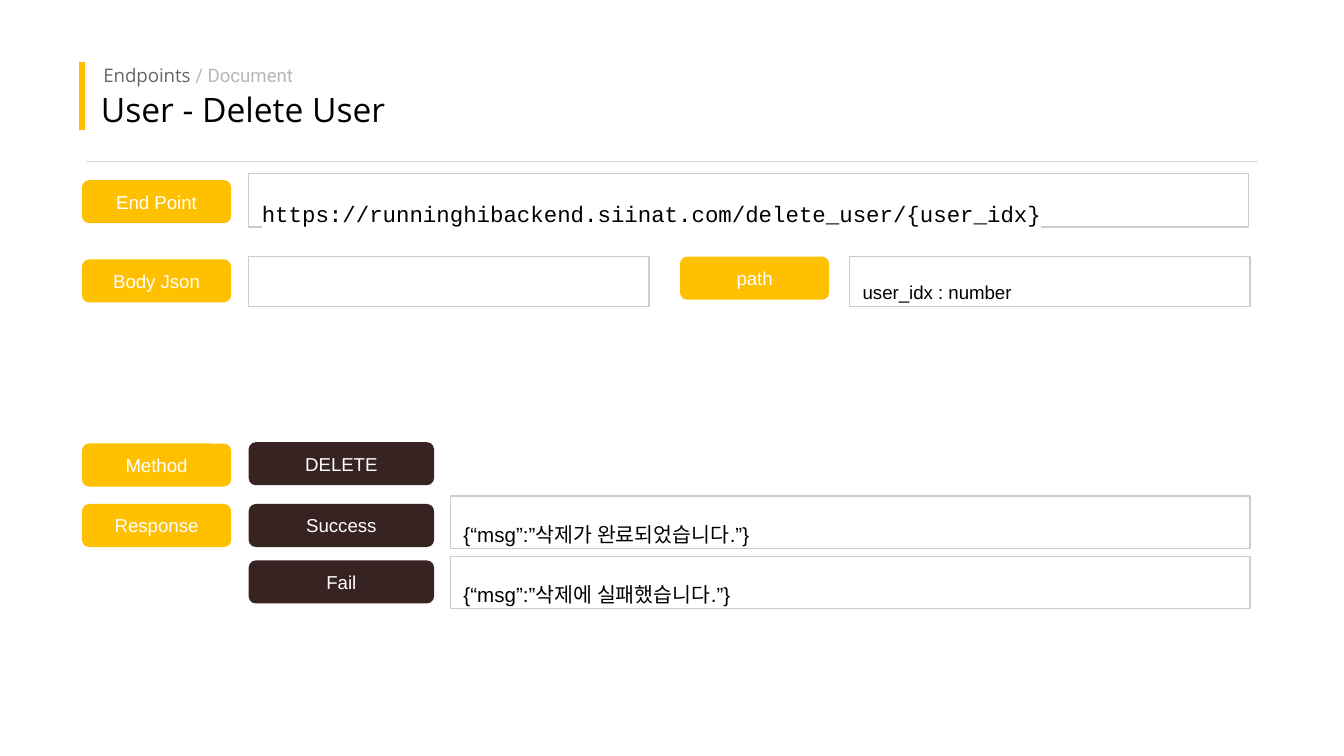
import pptx
import pptx.dml.color
import pptx.enum.shapes
import pptx.enum.text
import pptx.oxml
import pptx.oxml.ns
import pptx.util
from pptx.util import Inches

RGB = pptx.dml.color.RGBColor
AMBER = RGB(0xFF, 0xC0, 0x00)
BROWN = RGB(0x37, 0x23, 0x21)
WHITE = RGB(0xFF, 0xFF, 0xFF)
BLACK = RGB(0x00, 0x00, 0x00)
DARK_GRAY = RGB(0x66, 0x66, 0x66)
MID_GRAY = RGB(0xB7, 0xB7, 0xB7)
BOX_GRAY = RGB(0xCC, 0xCC, 0xCC)
RULE_GRAY = RGB(0xD9, 0xD9, 0xD9)

ALIGN = pptx.enum.text.PP_ALIGN
ANCHOR = pptx.enum.text.MSO_ANCHOR
AUTO_SIZE = pptx.enum.text.MSO_AUTO_SIZE
SHAPE = pptx.enum.shapes.MSO_SHAPE

SLIDE_W = 10
SLIDE_H = SLIDE_W * 9 / 16
LABEL_X, VALUE_X, REPLY_X = 0.61, 1.85, 3.35
PATH_LABEL_X, PATH_VALUE_X = 5.06, 6.32
LABEL_W, TAG_W, PILL_H = 1.11, 1.38, 0.32


def place(shape, left, top, width, height):
    box = {"left": left, "top": top, "width": width, "height": height}
    for name, value in box.items():
        setattr(shape, name, Inches(value))


def format_frame(frame, anchor, auto_size=AUTO_SIZE.NONE):
    margins = {f"margin_{side}": Inches(0.1)
               for side in ("left", "top", "right", "bottom")}
    settings = {"word_wrap": True, "vertical_anchor": anchor,
                "auto_size": auto_size, **margins}
    for name, value in settings.items():
        setattr(frame, name, value)


def add_run(paragraph, text, size, color, font="Arial", highlight=None):
    run = paragraph.add_run()
    run.text = text
    run.font.size = pptx.util.Pt(size)
    run.font.color.rgb = color
    if highlight is not None:
        ns = pptx.oxml.ns.nsdecls("a")
        run.font._element.append(pptx.oxml.parse_xml(
            f'<a:highlight {ns}><a:srgbClr val="{highlight}"/></a:highlight>'))
    run.font.name = font


def add_rule(slide, start, end, color, weight):
    rule = slide.shapes.add_connector(
        pptx.enum.shapes.MSO_CONNECTOR.STRAIGHT,
        *(Inches(length) for length in (*start, *end)))
    rule.line.color.rgb = color
    rule.line.width = pptx.util.Pt(weight)
    rule._element.spPr.append(
        pptx.oxml.parse_xml(f'<a:effectLst {pptx.oxml.ns.nsdecls("a")}/>'))


def add_header(slide, left, top, width):
    """Accent bar, breadcrumb, title and the rule below them."""
    add_rule(slide, (left, top), (left, top + 0.51), AMBER, 3)

    title = slide.shapes.title
    place(title, left + 0.04, top + 0.1, 9.1, 0.5)
    format_frame(title.text_frame, ANCHOR.MIDDLE)
    heading = title.text_frame.paragraphs[0]
    heading.alignment = ALIGN.LEFT
    add_run(heading, "User - Delete User", 18, BLACK, "Open Sans")

    breadcrumb = slide.shapes.add_textbox(0, 0, 0, 0)
    place(breadcrumb, left + 0.06, top - 0.03, 4.49, 0.23)
    format_frame(breadcrumb.text_frame, ANCHOR.MIDDLE)
    trail = breadcrumb.text_frame.paragraphs[0]
    trail.line_spacing = 1.15
    trail.space_after = pptx.util.Pt(12)
    add_run(trail, "Endpoints ", 10, DARK_GRAY, "Open Sans")
    add_run(trail, "/ Document", 10, MID_GRAY, "Roboto")

    rule_y = top + 0.74
    add_rule(slide, (left + 0.03, rule_y), (left + width, rule_y), RULE_GRAY, 0.75)


def add_pill(slide, text, left, top, width=LABEL_W, color=AMBER):
    pill = slide.shapes.add_shape(SHAPE.ROUNDED_RECTANGLE, 0, 0, 0, 0)
    place(pill, left, top, width, PILL_H)
    pill.shadow.inherit = False
    pill.fill.solid()
    pill.fill.fore_color.rgb = color
    pill.line.fill.background()
    format_frame(pill.text_frame, ANCHOR.MIDDLE)
    caption = pill.text_frame.paragraphs[0]
    caption.alignment = ALIGN.CENTER
    add_run(caption, text, 10, WHITE)


def add_value_box(slide, text, left, top, width, height, **text_format):
    box = slide.shapes.add_shape(SHAPE.RECTANGLE, 0, 0, 0, 0)
    place(box, left, top, width, height)
    box.shadow.inherit = False
    box.fill.background()
    box.line.color.rgb = BOX_GRAY
    box.line.width = pptx.util.Pt(0.75)
    if text:
        format_frame(box.text_frame, ANCHOR.TOP, AUTO_SIZE.SHAPE_TO_FIT_TEXT)
        content = box.text_frame.paragraphs[0]
        content.alignment = ALIGN.LEFT
        content.line_spacing = 1.5
        add_run(content, text, color=BLACK, **text_format)


def add_request(slide, top):
    """End point, body and path parameters."""
    add_pill(slide, "End Point", LABEL_X, top + 0.05)
    add_value_box(slide, "https://runninghibackend.siinat.com/delete_user/{user_idx}",
                  VALUE_X, top, 7.44, 0.4,
                  size=12, font="Courier New", highlight=WHITE)
    fields_y = top + 0.62
    add_pill(slide, "Body Json", LABEL_X, fields_y + 0.02)
    add_value_box(slide, "", VALUE_X, fields_y, 2.98, 0.37)
    add_pill(slide, "path", PATH_LABEL_X, fields_y)
    add_value_box(slide, "user_idx : number", PATH_VALUE_X, fields_y, 2.98, 0.37, size=10)


def add_response(slide, top):
    """Method, then the replies for success and failure."""
    add_pill(slide, "Method", LABEL_X, top + 0.01)
    add_pill(slide, "DELETE", VALUE_X, top, TAG_W, BROWN)
    add_pill(slide, "Response", LABEL_X, top + 0.46)
    replies = [
        ("Success", "{“msg”:”삭제가 완료되었습니다.”}", 0.46, 0.4),
        ("Fail", "{“msg”:”삭제에 실패했습니다.”}", 0.88, 0.85),
    ]
    for outcome, message, tag_y, box_y in replies:
        add_pill(slide, outcome, VALUE_X, top + tag_y, TAG_W, BROWN)
        add_value_box(slide, message, REPLY_X, top + box_y, 5.95, 0.39, size=11)


def main():
    deck = pptx.Presentation()
    deck.slide_width = Inches(SLIDE_W)
    deck.slide_height = Inches(SLIDE_H)
    slide = deck.slides.add_slide(deck.slide_layouts[5])
    add_header(slide, left=0.61, top=0.46, width=8.75)
    add_request(slide, top=1.29)
    add_response(slide, top=3.29)
    deck.save("out.pptx")


if __name__ == "__main__":
    main()
